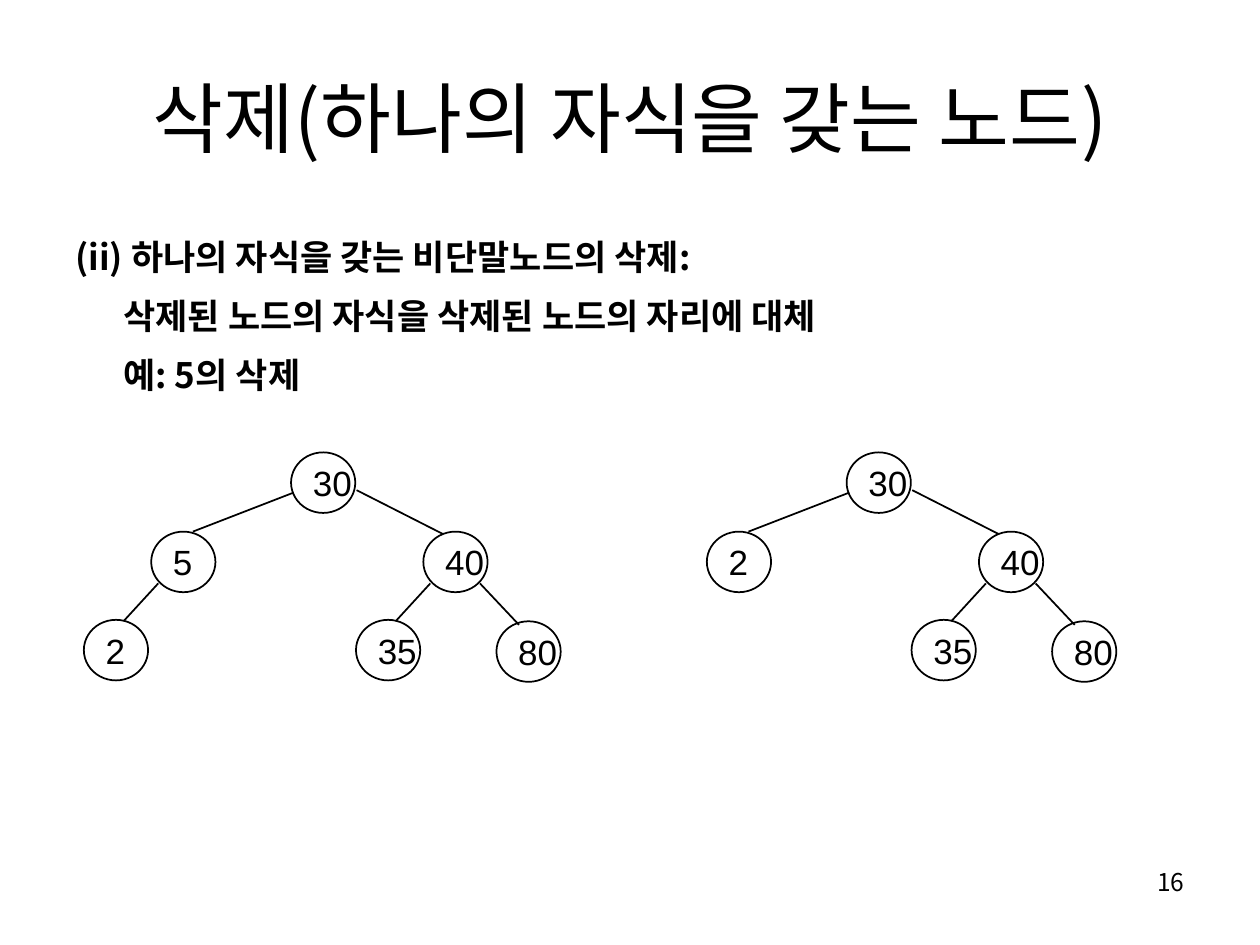
from dataclasses import dataclass

from lxml import etree
from pptx import Presentation
from pptx import util as u
from pptx.dml.color import RGBColor
from pptx.enum import shapes, text
from pptx.oxml import ns


@dataclass(frozen=True)
class Theme:
    ink: RGBColor = RGBColor(0, 0, 0)
    background: RGBColor = RGBColor(255, 255, 255)
    korean: str = "Noto Sans CJK KR"
    latin: str = "Arial"
    title: int = 44
    body: int = 20
    node: int = 20
    number: int = 14
    line: int = 1


THEME = Theme()
NODE_SIZE = (36.7, 34.6)

# Branches by level and side, measured from the parent's top left corner:
# child position, edge start, edge end
BRANCHES = [
    [((-79.9, 45.3), (1.5, 23), (-56.1, 45.3)),
     ((75.6, 45.3), (37.5, 21.6), (87.1, 46.8))],
    [((-38.5, 50.4), (4, 29.6), (-15.8, 51.2)),
     ((41.8, 51.2), (32.4, 29.6), (54.7, 53.3))],
]

# A node is (label, left child, right child)
RIGHT_SUBTREE = ("40", ("35", None, None), ("80", None, None))
TREES = [
    ((166.3, 258.5), ("30", ("5", ("2", None, None), None), RIGHT_SUBTREE)),
    ((483.8, 258.5), ("30", ("2", None, None), RIGHT_SUBTREE)),
]


def apply_format(target, values):
    for name, value in values.items():
        setattr(target, name, value)


def points(*values):
    return [u.Pt(value) for value in values]


def shift(origin, offset):
    return origin[0] + offset[0], origin[1] + offset[1]


def add_run(paragraph, words, font_name, size, bold=False):
    run = paragraph.add_run()
    run.text = words
    apply_format(run.font, {"name": font_name, "size": u.Pt(size), "bold": bold})
    run.font.color.rgb = THEME.ink
    east_asian = etree.SubElement(run.font._element, ns.qn("a:ea"))
    east_asian.set("typeface", font_name)


def add_text(slide, box, lines, size, frame_format=None, paragraph_format=None,
             bold=False):
    """Add a text box; each line is (words, left margin, first-line indent)."""
    frame = slide.shapes.add_textbox(*points(*box)).text_frame
    apply_format(frame, {"word_wrap": True, **(frame_format or {})})
    for index, (words, margin, indent) in enumerate(lines):
        paragraph = frame.add_paragraph() if index else frame.paragraphs[0]
        apply_format(paragraph, paragraph_format or {})
        properties = paragraph._p.get_or_add_pPr()
        properties.set("marL", str(u.Pt(margin)))
        properties.set("indent", str(u.Pt(indent)))
        add_run(paragraph, words, THEME.korean, size, bold)


def add_node(group, position, label):
    shape = group.shapes.add_shape(
        shapes.MSO_SHAPE.OVAL, *points(*position, *NODE_SIZE))
    shape.shadow.inherit = False
    shape.fill.background()
    shape.line.color.rgb = THEME.ink
    shape.line.width = u.Pt(THEME.line)
    apply_format(shape.text_frame, {
        "word_wrap": False, "vertical_anchor": text.MSO_ANCHOR.MIDDLE})
    paragraph = shape.text_frame.paragraphs[0]
    paragraph.alignment = text.PP_ALIGN.LEFT
    add_run(paragraph, label, THEME.latin, THEME.node)


def add_edge(group, start, end):
    edge = group.shapes.add_connector(
        shapes.MSO_CONNECTOR.STRAIGHT, *points(*start, *end))
    edge.line.color.rgb = THEME.ink
    edge.line.width = u.Pt(THEME.line)
    etree.SubElement(edge._element.spPr, ns.qn("a:effectLst"))


def add_tree(group, position, node, level=0):
    label, *children = node
    add_node(group, position, label)
    for side, child in enumerate(children):
        if child:
            offset, start, end = BRANCHES[level][side]
            add_edge(group, shift(position, start), shift(position, end))
            add_tree(group, shift(position, offset), child, level + 1)


def main():
    presentation = Presentation()
    apply_format(presentation, {
        "slide_width": u.Pt(720), "slide_height": u.Pt(540)})
    slide = presentation.slides.add_slide(presentation.slide_layouts[6])
    slide.background.fill.solid()
    slide.background.fill.fore_color.rgb = THEME.background

    # Slide number
    add_text(slide, (516, 492, 168, 37.5), [("16", 0, 0)], THEME.number,
             paragraph_format={"alignment": text.PP_ALIGN.RIGHT})

    # Title
    add_text(slide, (36, 21.6, 648, 90), [("삭제(하나의 자식을 갖는 노드)", 0, 0)],
             THEME.title, {"vertical_anchor": text.MSO_ANCHOR.MIDDLE},
             {"alignment": text.PP_ALIGN.CENTER})

    # Explanation
    add_text(slide, (36, 126, 648, 356.4), [
        ("(ii) 하나의 자식을 갖는 비단말노드의 삭제:", 27.4, -27.4),
        ("삭제된 노드의 자식을 삭제된 노드의 자리에 대체", 27.4, 0),
        ("예: 5의 삭제", 27.4, 0),
    ], THEME.body, paragraph_format={
        "line_spacing": 1.2, "space_before": u.Pt(5)}, bold=True)

    # Trees before and after the deletion
    for position, root in TREES:
        add_tree(slide.shapes.add_group_shape(), position, root)

    presentation.save("out.pptx")


if __name__ == "__main__":
    main()
